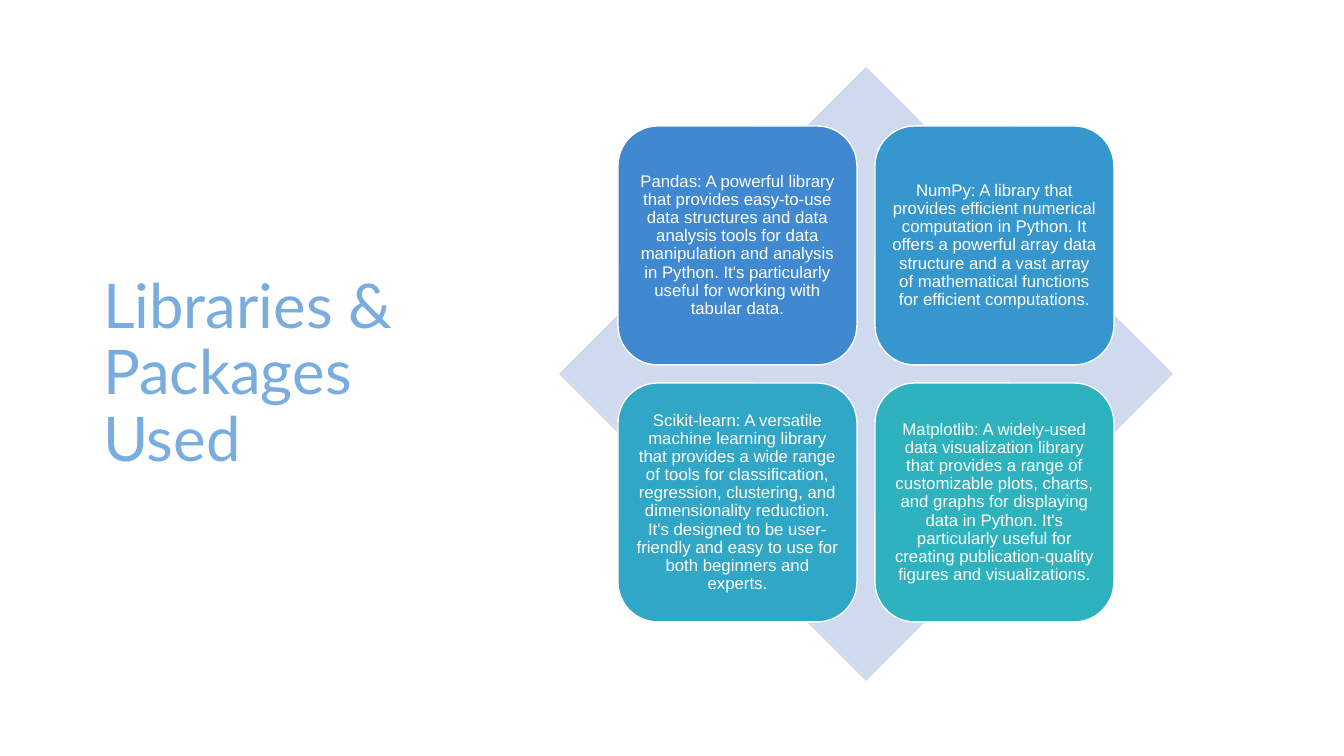
from pptx import Presentation
from pptx.dml.color import RGBColor
from pptx.enum.shapes import MSO_SHAPE
from pptx.enum.text import MSO_ANCHOR, PP_ALIGN
from pptx.util import Emu, Pt

DIAMOND = MSO_SHAPE.DIAMOND
ROUNDED = MSO_SHAPE.ROUNDED_RECTANGLE
MIDDLE = MSO_ANCHOR.MIDDLE
LEFT, CENTER = PP_ALIGN.LEFT, PP_ALIGN.CENTER

EMU_PER_PX = 914400 / 100.8
COLORS = {
    "title": "79ACDF",
    "diamond": "CFDAEE",
    "white": "FFFFFF",
    "pandas": "4088D0",
    "numpy": "3697CE",
    "sklearn": "31A7C7",
    "matplotlib": "2EB3BE",
}
TILE_LEFT, TILE_TOP, TILE_SIZE, TILE_STEP = 618, 126, 239, 257
LIBRARIES = [
    ("pandas", "Pandas: A powerful library that provides easy-to-use data structures "
               "and data analysis tools for data manipulation and analysis in Python. "
               "It's particularly useful for working with tabular data."),
    ("numpy", "NumPy: A library that provides efficient numerical computation in Python. "
              "It offers a powerful array data structure and a vast array of "
              "mathematical functions for efficient computations."),
    ("sklearn", "Scikit-learn: A versatile machine learning library that provides a wide "
                "range of tools for classification, regression, clustering, and "
                "dimensionality reduction. It's designed to be user-friendly and easy "
                "to use for both beginners and experts."),
    ("matplotlib", "Matplotlib: A widely-used data visualization library that provides a "
                   "range of customizable plots, charts, and graphs for displaying data "
                   "in Python. It's particularly useful for creating "
                   "publication-quality figures and visualizations."),
]


def px(length):
    return Emu(round(length * EMU_PER_PX))


def color(name):
    return RGBColor.from_string(COLORS[name])


def write(box, text, *, font, size, ink, align=LEFT, inset=None):
    frame = box.text_frame
    frame.word_wrap = True
    frame.vertical_anchor = MIDDLE
    if inset is not None:
        frame.margin_left = frame.margin_right = px(inset)
        frame.margin_top = frame.margin_bottom = px(inset)
    para = frame.paragraphs[0]
    para.alignment = align
    para.line_spacing = 0.9
    span = para.add_run()
    span.text = text
    span.font.name = font
    span.font.size = Pt(size)
    span.font.color.rgb = color(ink)


def add_block(page, kind, left, top, size, fill, line=None):
    box = page.shapes.add_shape(kind, px(left), px(top), px(size), px(size))
    box.shadow.inherit = False
    box.fill.solid()
    box.fill.fore_color.rgb = color(fill)
    if line:
        box.line.color.rgb = color(line)
        box.line.width = Pt(1)
    else:
        box.line.fill.background()
    return box


def add_title(page, text):
    title = page.shapes.title
    title.left, title.top, title.width, title.height = map(px, (93, 68, 326, 614))
    write(title, text, font="Lato", size=44, ink="title")


def add_tiles(page):
    for index, (fill, text) in enumerate(LIBRARIES):
        row, column = divmod(index, 2)
        tile = add_block(page, ROUNDED, TILE_LEFT + column * TILE_STEP,
                         TILE_TOP + row * TILE_STEP, TILE_SIZE, fill, line="white")
        write(tile, text, font="Arial", size=12, ink="white", align=CENTER, inset=5)


def main():
    deck = Presentation()
    deck.slide_width, deck.slide_height = px(1344), px(756)
    page = deck.slides.add_slide(deck.slide_layouts.get_by_name("Title Only"))
    page.background.fill.solid()
    page.background.fill.fore_color.rgb = color("white")
    add_title(page, "Libraries & Packages Used")
    add_block(page, DIAMOND, 559, 67, 614, "diamond")
    add_tiles(page)
    deck.save("out.pptx")


if __name__ == "__main__":
    main()
